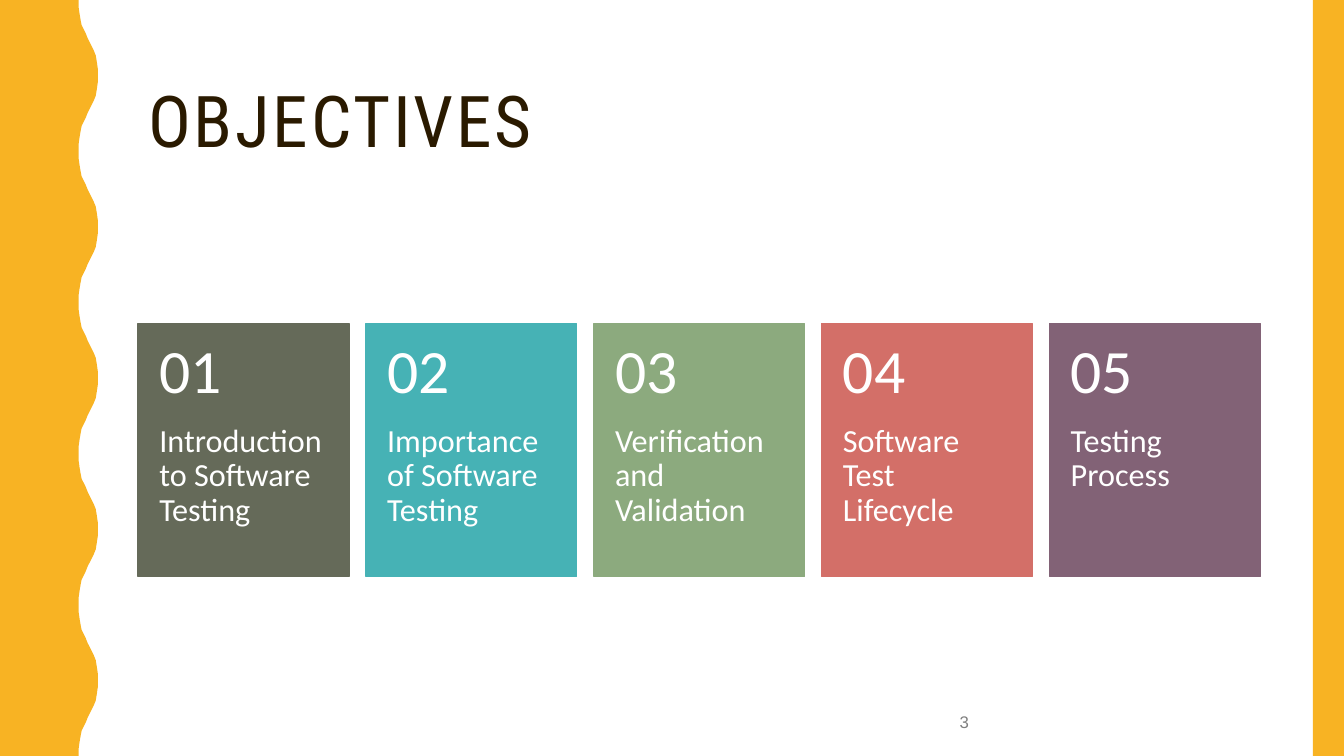
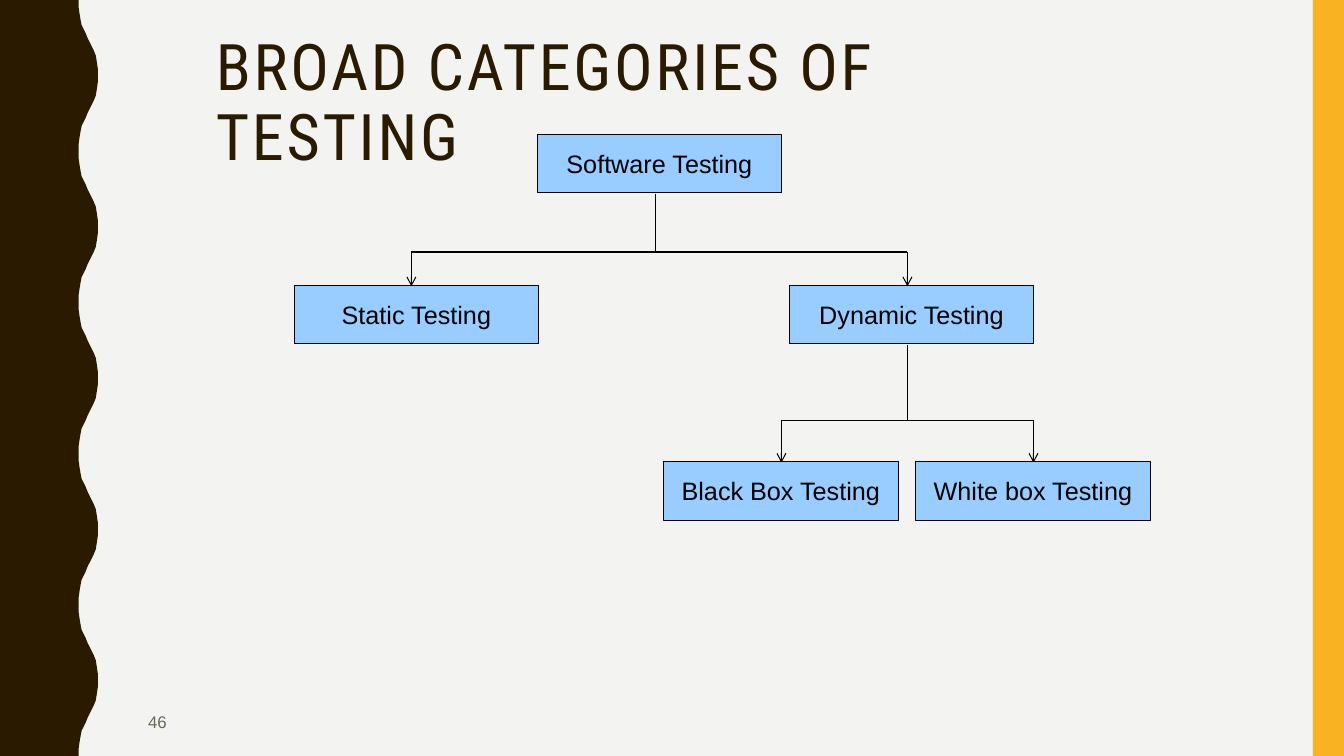
from dataclasses import dataclass

from lxml import etree
from pptx import Presentation
from pptx import util as u
from pptx.dml.color import RGBColor
from pptx.enum import shapes, text
from pptx.oxml.ns import qn

PX = 9144  # EMU per px, 100 px to the inch
WIDTH, HEIGHT = 1333, 750

COLORS = {
    "white": "FFFFFF", "black": "000000", "paper": "F3F3F2",
    "brown": "2A1A00", "amber": "F8B323", "gray": "808080",
    "olive": "656A59", "teal": "46B2B5", "green": "8CAA7E",
    "coral": "D36F68", "plum": "826276", "sky": "99CCFF",
}
TITLE_FONT, CARD_FONT, PLAIN_FONT = "Roboto Condensed", "Calibri", "Arial"

# Half a wave of the left band, as (x, y); the other half mirrors it
HALF_WAVE = [(78, 0), (78, 7), (79, 14), (80, 20), (81, 25), (83, 29), (85, 33),
             (87, 38), (89, 42), (91, 46), (93, 50), (95, 55), (96, 61), (97, 68),
             (97, 75)]
WAVE_PERIOD = 150


@dataclass(frozen=True)
class Box:
    x: int
    y: int
    w: int
    h: int

    def emu(self) -> tuple[int, ...]:
        return tuple(v * PX for v in (self.x, self.y, self.w, self.h))


@dataclass(frozen=True)
class Style:
    font: str
    size: float
    color: str
    spacing: float = 1.0
    align: text.PP_ALIGN = text.PP_ALIGN.LEFT
    anchor: text.MSO_ANCHOR = text.MSO_ANCHOR.MIDDLE
    insets: tuple[int, int, int, int] = (10, 5, 10, 5)  # left, top, right, bottom
    tracking: int = 0  # hundredths of a point


@dataclass(frozen=True)
class Card:
    label: str
    color: str


@dataclass(frozen=True)
class Node:
    label: str
    box: Box


@dataclass(frozen=True)
class Branch:
    x: int
    top: int
    bus: int
    bottom: int
    drops: tuple[int, int]


def rgb(name: str) -> RGBColor:
    return RGBColor.from_string(COLORS[name])


def write(sp, content: str, style: Style) -> None:
    tf = sp.text_frame
    tf.text = content
    tf.word_wrap = True
    tf.auto_size = text.MSO_AUTO_SIZE.NONE
    tf.vertical_anchor = style.anchor
    tf.margin_left, tf.margin_top, tf.margin_right, tf.margin_bottom = (
        v * PX for v in style.insets)
    p = tf.paragraphs[0]
    p.alignment = style.align
    p.line_spacing = style.spacing
    for r in p.runs:
        r.font.name = style.font
        r.font.size = u.Pt(style.size)
        r.font.color.rgb = rgb(style.color)
        if style.tracking:
            r.font._element.set("spc", str(style.tracking))


def paint(sp, fill: str, line: str = "", width: float = 1) -> None:
    sp.shadow.inherit = False
    sp.fill.solid()
    sp.fill.fore_color.rgb = rgb(fill)
    if line:
        sp.line.color.rgb = rgb(line)
        sp.line.width = u.Pt(width)
    else:
        sp.line.fill.background()


def add_text(s, box: Box, content: str, style: Style) -> None:
    write(s.shapes.add_textbox(*box.emu()), content, style)


def add_line(s, x1: int, y1: int, x2: int, y2: int, arrow: bool = False) -> None:
    c = s.shapes.add_connector(shapes.MSO_CONNECTOR.STRAIGHT,
                               *(v * PX for v in (x1, y1, x2, y2)))
    c.line.color.rgb = rgb("black")
    c.line.width = u.Pt(0.75)
    if arrow:
        etree.SubElement(c.line._get_or_add_ln(), qn("a:tailEnd"), type="arrow")
    etree.SubElement(c._element.spPr, qn("a:effectLst"))


def add_bands(s, wave_color: str) -> None:
    """Draw the wavy left band and the straight right one."""
    wave = HALF_WAVE + [(x, WAVE_PERIOD - y) for x, y in HALF_WAVE[-2::-1]]
    edge = [(x, y + top) for top in range(0, HEIGHT, WAVE_PERIOD) for x, y in wave]
    fb = s.shapes.build_freeform(0, 0, scale=PX)
    fb.add_line_segments(edge + [(0, HEIGHT)], close=True)
    paint(fb.convert_to_shape(), wave_color)
    strip = Box(1302, 0, 31, HEIGHT)
    paint(s.shapes.add_shape(shapes.MSO_SHAPE.RECTANGLE, *strip.emu()), "amber")


def new_slide(prs, background: str, wave: str, title: str, title_box: Box,
              title_style: Style, number: str, number_box: Box, number_color: str):
    s = prs.slides.add_slide(prs.slide_layouts[5])
    s.background.fill.solid()
    s.background.fill.fore_color.rgb = rgb(background)
    sp = s.shapes.title
    sp.left, sp.top, sp.width, sp.height = title_box.emu()
    write(sp, title, title_style)
    add_bands(s, wave)
    add_text(s, number_box, number, Style(PLAIN_FONT, 12, number_color))
    return s


def title_style(size: float, anchor: text.MSO_ANCHOR) -> Style:
    return Style(TITLE_FONT, size, "brown", spacing=0.9, anchor=anchor, tracking=200)


# Objectives: a row of numbered cards
CARDS = [
    Card("Introduction to Software Testing", "olive"),
    Card("Importance of Software Testing", "teal"),
    Card("Verification and Validation", "green"),
    Card("Software Test\vLifecycle", "coral"),
    Card("Testing Process", "plum"),
]
FIRST_CARD, CARD_STEP, NUMBER_HEIGHT = Box(137, 321, 209, 251), 226, 100
CARD_LABEL = Style(CARD_FONT, 23, "white", 0.9, anchor=text.MSO_ANCHOR.TOP,
                   insets=(21, NUMBER_HEIGHT, 21, 36))
CARD_NUMBER = Style(CARD_FONT, 44, "white", 0.9, insets=(21, 18, 21, 18))


def add_objectives(prs) -> None:
    s = new_slide(prs, "white", "amber", "OBJECTIVES", Box(137, 42, 1113, 163),
                  title_style(51, text.MSO_ANCHOR.MIDDLE),
                  "3", Box(942, 697, 308, 38), "gray")
    for i, card in enumerate(CARDS):
        x = FIRST_CARD.x + i * CARD_STEP
        box = Box(x, FIRST_CARD.y, FIRST_CARD.w, FIRST_CARD.h)
        sp = s.shapes.add_shape(shapes.MSO_SHAPE.RECTANGLE, *box.emu())
        paint(sp, card.color, card.color)
        write(sp, card.label, CARD_LABEL)
        add_text(s, Box(x, box.y, box.w, NUMBER_HEIGHT), f"{i + 1:02}", CARD_NUMBER)


# Broad categories: a tree of boxes
BRANCHES = [
    Branch(650, 192, 250, 284, (408, 900)),
    Branch(900, 342, 417, 459, (775, 1025)),
]
NODES = [
    Node("Software Testing", Box(533, 133, 242, 58)),
    Node("Static Testing", Box(292, 283, 242, 58)),
    Node("Dynamic Testing", Box(783, 283, 242, 58)),
    Node("Black Box Testing", Box(658, 458, 233, 58)),
    Node("White box Testing", Box(908, 458, 233, 58)),
]
NODE_LABEL = Style(PLAIN_FONT, 18, "black", align=text.PP_ALIGN.CENTER)


def add_categories(prs) -> None:
    s = new_slide(prs, "paper", "brown", "BROAD CATEGORIES OF TESTING",
                  Box(204, 30, 923, 66), title_style(45.9, text.MSO_ANCHOR.TOP),
                  "46", Box(137, 697, 255, 38), "olive")
    for b in BRANCHES:
        add_line(s, b.x, b.top, b.x, b.bus)
        add_line(s, b.drops[0], b.bus, b.drops[1], b.bus)
        for x in b.drops:
            add_line(s, x, b.bus, x, b.bottom, arrow=True)
    for node in NODES:
        sp = s.shapes.add_shape(shapes.MSO_SHAPE.ROUNDED_RECTANGLE, *node.box.emu())
        sp.adjustments[0] = 0
        paint(sp, "sky", "black", 0.75)
        write(sp, node.label, NODE_LABEL)


def main() -> None:
    prs = Presentation()
    prs.slide_width, prs.slide_height = WIDTH * PX, HEIGHT * PX
    add_objectives(prs)
    add_categories(prs)
    prs.save("out.pptx")


if __name__ == "__main__":
    main()
